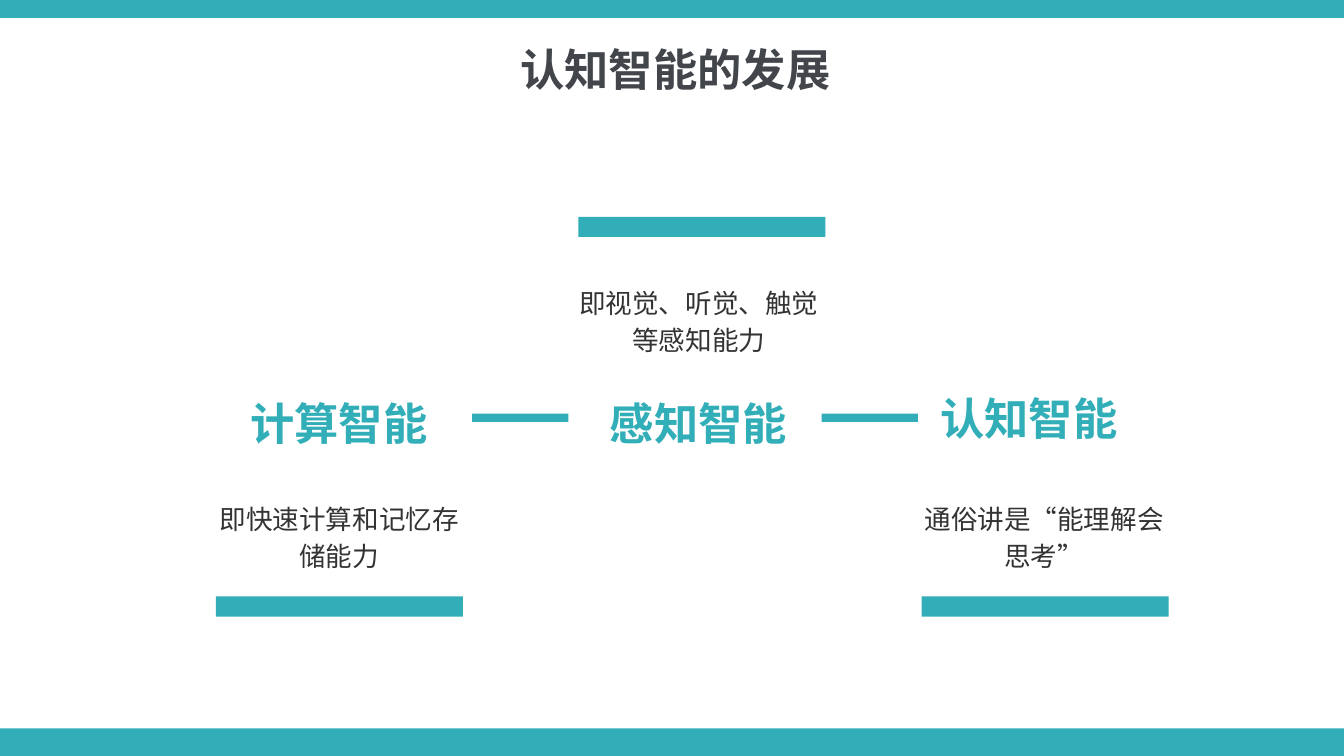
import pptx
import pptx.dml.color
import pptx.enum.shapes
import pptx.enum.text
import pptx.oxml.ns
import pptx.util
from lxml import etree

Cm = pptx.util.Cm
RGBColor = pptx.dml.color.RGBColor

TEAL = RGBColor(0x32, 0xAE, 0xB8)
SLATE = RGBColor(0x42, 0x46, 0x4B)
CHARCOAL = RGBColor(0x33, 0x33, 0x33)

WIDTH, HEIGHT = 32.11, 18.06
TOP_BAND, BOTTOM_BAND = 0.43, 0.66
BAR_WIDTH, BAR_HEIGHT = 5.9, 0.48
NOTE_WIDTH, NOTE_HEIGHT = 5.75, 1.78
HEADING_HEIGHT = 1.5
UPPER_BAR, UPPER_NOTE = 5.18, 6.73
LOWER_BAR, LOWER_NOTE = 14.25, 11.89

# heading, (left, top, width), note, note left, note top, bar left, bar top
STAGES = [
    ("计算智能", (5.44, 9.25, 5.31), "即快速计算和记忆存储能力",
     5.23, LOWER_NOTE, 5.16, LOWER_BAR),
    ("感知智能", (13.82, 9.25, 5.74), "即视觉、听觉、触觉等感知能力",
     13.82, UPPER_NOTE, 13.82, UPPER_BAR),
    ("认知智能", (22.45, 9.14, 4.27), "通俗讲是“能理解会思考”",
     22.07, LOWER_NOTE, 22.02, LOWER_BAR),
]
DASH_LEFTS = [11.28, 19.63]


class SlideBuilder:
    font_name = "Noto Sans CJK SC"
    line_spacing = 1.16

    def __init__(self, page):
        self.page = page

    def bar(self, left, top, width, height):
        shape = self.page.shapes.add_shape(
            pptx.enum.shapes.MSO_SHAPE.RECTANGLE,
            Cm(left), Cm(top), Cm(width), Cm(height))
        shape.shadow.inherit = False
        shape.fill.solid()
        shape.fill.fore_color.rgb = TEAL
        shape.line.fill.background()

    def title(self, text, left, top, width, height):
        box = self.page.shapes.title
        box.left, box.top = Cm(left), Cm(top)
        box.width, box.height = Cm(width), Cm(height)
        self.fill_text(box, text, 30, SLATE, True)

    def text(self, text, left, top, width, height, size, color, bold=False):
        box = self.page.shapes.add_textbox(
            Cm(left), Cm(top), Cm(width), Cm(height))
        self.fill_text(box, text, size, color, bold)

    def fill_text(self, box, text, size, color, bold):
        """Fill a box with one centred run in the slide's typeface."""
        frame = box.text_frame
        frame.word_wrap = True
        frame.auto_size = pptx.enum.text.MSO_AUTO_SIZE.SHAPE_TO_FIT_TEXT
        frame.vertical_anchor = pptx.enum.text.MSO_ANCHOR.MIDDLE
        frame.margin_left = frame.margin_right = 0
        frame.margin_top = frame.margin_bottom = 0
        para = frame.paragraphs[0]
        para.alignment = pptx.enum.text.PP_ALIGN.CENTER
        para.line_spacing = self.line_spacing
        para.space_before = pptx.util.Pt(0)
        span = para.add_run()
        span.text = text
        span.font.size = pptx.util.Pt(size)
        span.font.bold = bold
        span.font.color.rgb = color
        span.font.name = self.font_name
        # Chinese glyphs take the East Asian typeface.
        properties = span._r.get_or_add_rPr()
        east_asian = etree.SubElement(properties, pptx.oxml.ns.qn("a:ea"))
        east_asian.set("typeface", self.font_name)


def main():
    deck = pptx.Presentation()
    deck.slide_width, deck.slide_height = Cm(WIDTH), Cm(HEIGHT)
    builder = SlideBuilder(deck.slides.add_slide(deck.slide_layouts[5]))

    builder.bar(0, 0, WIDTH, TOP_BAND)
    builder.bar(0, HEIGHT - BOTTOM_BAND, WIDTH, BOTTOM_BAND)
    builder.title("认知智能的发展", 8.64, 0.79, 14.99, HEADING_HEIGHT)

    for heading, place, note, note_left, note_top, bar_left, bar_top in STAGES:
        builder.text(heading, *place, HEADING_HEIGHT, 30, TEAL, True)
        builder.text(note, note_left, note_top, NOTE_WIDTH, NOTE_HEIGHT,
                     18, CHARCOAL)
        builder.bar(bar_left, bar_top, BAR_WIDTH, BAR_HEIGHT)
    for left in DASH_LEFTS:
        builder.bar(left, 9.88, 2.3, 0.2)

    deck.save("out.pptx")


if __name__ == "__main__":
    main()
